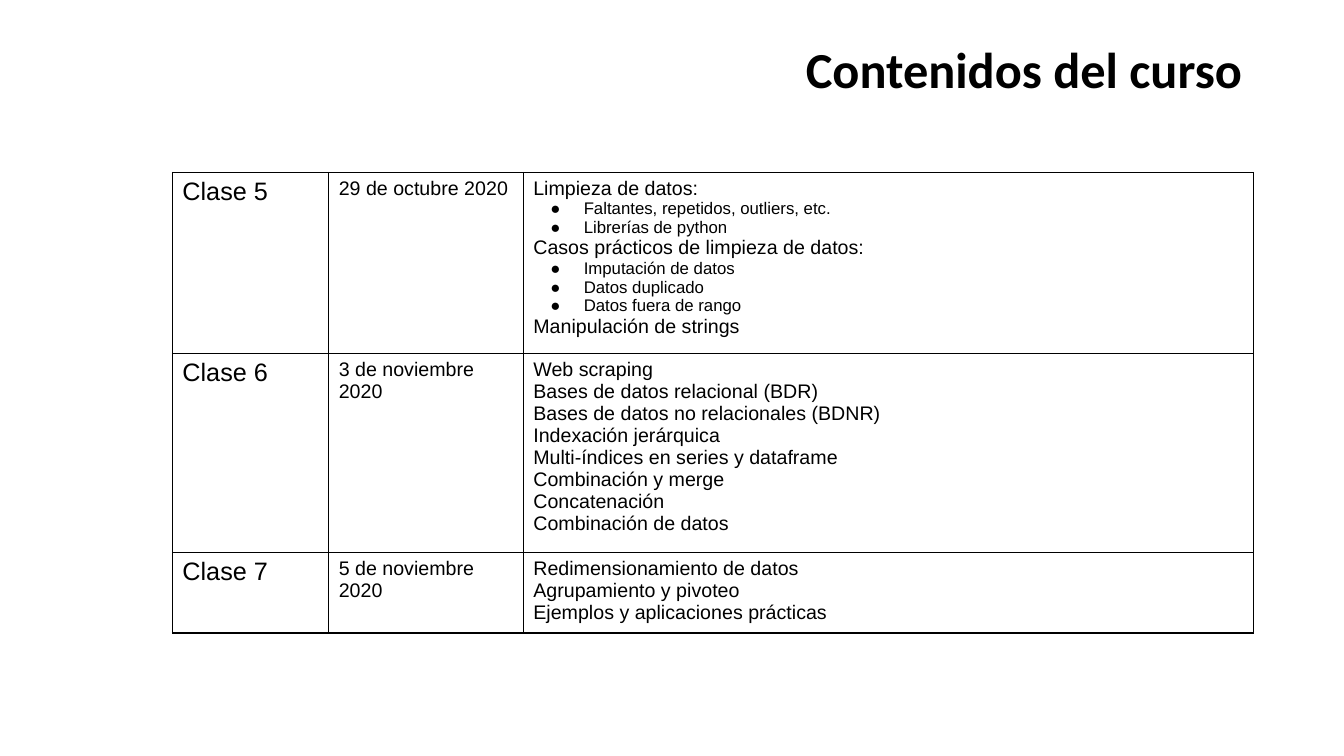
import lxml.etree
import pptx
import pptx.dml.color
import pptx.enum.text
import pptx.oxml.ns
import pptx.util

Inches = pptx.util.Inches
BLACK = pptx.dml.color.RGBColor(0, 0, 0)
WHITE = pptx.dml.color.RGBColor(255, 255, 255)
ALIGN = pptx.enum.text.PP_ALIGN
ANCHOR = pptx.enum.text.MSO_ANCHOR
qn = pptx.oxml.ns.qn

COLUMN_WIDTHS = [1.55, 1.93, 7.24]
ROW_HEIGHTS = [1.69, 1.85, 0.75]

# Class, date and topics; a tuple holds the bullets under the topic before it
CLASSES = [
    ("Clase 5", "29 de octubre 2020", [
        "Limpieza de datos:",
        ("Faltantes, repetidos, outliers, etc.", "Librerías de python"),
        "Casos prácticos de limpieza de datos:",
        ("Imputación de datos", "Datos duplicado", "Datos fuera de rango"),
        "Manipulación de strings",
    ]),
    ("Clase 6", "3 de noviembre 2020", [
        "Web scraping",
        "Bases de datos relacional (BDR)",
        "Bases de datos no relacionales (BDNR)",
        "Indexación jerárquica",
        "Multi-índices en series y dataframe",
        "Combinación y merge",
        "Concatenación",
        "Combinación de datos",
    ]),
    ("Clase 7", "5 de noviembre 2020", [
        "Redimensionamiento de datos",
        "Agrupamiento y pivoteo",
        "Ejemplos y aplicaciones prácticas",
    ]),
]


def add_bullet(para):
    properties = para._p.get_or_add_pPr()
    properties.set("marL", str(Inches(0.5)))
    properties.set("indent", str(Inches(-0.33)))
    color = lxml.etree.SubElement(properties, qn("a:buClr"))
    lxml.etree.SubElement(color, qn("a:srgbClr"), val=str(BLACK))
    lxml.etree.SubElement(properties, qn("a:buFont"), typeface="Arial")
    lxml.etree.SubElement(properties, qn("a:buChar"), char="●")


def write_text(frame, text, size=14, font="Arial", bold=False, align=None,
               spacing=None, bullet=False, first=True):
    """Write one paragraph, in the first one of the frame or in a new one."""
    para = frame.paragraphs[0] if first else frame.add_paragraph()
    if align is not None:
        para.alignment = align
    if spacing is not None:
        para.line_spacing = spacing
    if bullet:
        add_bullet(para)
    span = para.add_run()
    span.text = text
    span.font.size = pptx.util.Pt(size)
    span.font.name = font
    span.font.bold = bold
    span.font.color.rgb = BLACK


class SlideBuilder:
    def __init__(self, slide, ink=BLACK, paper=WHITE, border=1):
        self.slide = slide
        self.ink = ink
        self.paper = paper
        self.border = border

    def add_title(self, text, left, top, width, height):
        box = self.slide.shapes.add_textbox(
            Inches(left), Inches(top), Inches(width), Inches(height))
        box.text_frame.word_wrap = True
        box.text_frame.vertical_anchor = ANCHOR.MIDDLE
        write_text(box.text_frame, text, size=36, font="Calibri", bold=True,
                   align=ALIGN.RIGHT, spacing=0.9)

    def add_grid(self, left, top, widths, heights):
        frame = self.slide.shapes.add_table(
            len(heights), len(widths), Inches(left), Inches(top),
            Inches(sum(widths)), Inches(sum(heights)))
        table = frame.table
        table.first_row = table.horz_banding = False
        for column, width in zip(table.columns, widths):
            column.width = Inches(width)
        for row, height in zip(table.rows, heights):
            row.height = Inches(height)
        for cell in table.iter_cells():
            self.style_cell(cell)
        return table

    def style_cell(self, cell):
        cell.fill.solid()
        cell.fill.fore_color.rgb = self.paper
        properties = cell._tc.get_or_add_tcPr()
        # Borders come before the fill
        for position, side in enumerate(["a:lnL", "a:lnR", "a:lnT", "a:lnB"]):
            line = lxml.etree.Element(qn(side), w=str(pptx.util.Pt(self.border)))
            fill = lxml.etree.SubElement(line, qn("a:solidFill"))
            lxml.etree.SubElement(fill, qn("a:srgbClr"), val=str(self.ink))
            properties.insert(position, line)

    def fill_topics(self, cell, topics):
        first = True
        for topic in topics:
            bullet = isinstance(topic, tuple)
            for text in topic if bullet else [topic]:
                write_text(cell.text_frame, text, size=12 if bullet else 14,
                           bullet=bullet, first=first)
                first = False


deck = pptx.Presentation()
deck.slide_width = Inches(13.33)
deck.slide_height = Inches(7.5)
page = SlideBuilder(deck.slides.add_slide(deck.slide_layouts[6]))

# Title
page.add_title("Contenidos del curso", 0.92, 0.38, 11.5, 0.68)

# Course schedule
schedule = page.add_grid(1.71, 1.71, COLUMN_WIDTHS, ROW_HEIGHTS)
for row, (name, date, topics) in enumerate(CLASSES):
    write_text(schedule.cell(row, 0).text_frame, name, size=18)
    write_text(schedule.cell(row, 1).text_frame, date)
    page.fill_topics(schedule.cell(row, 2), topics)

deck.save("out.pptx")
